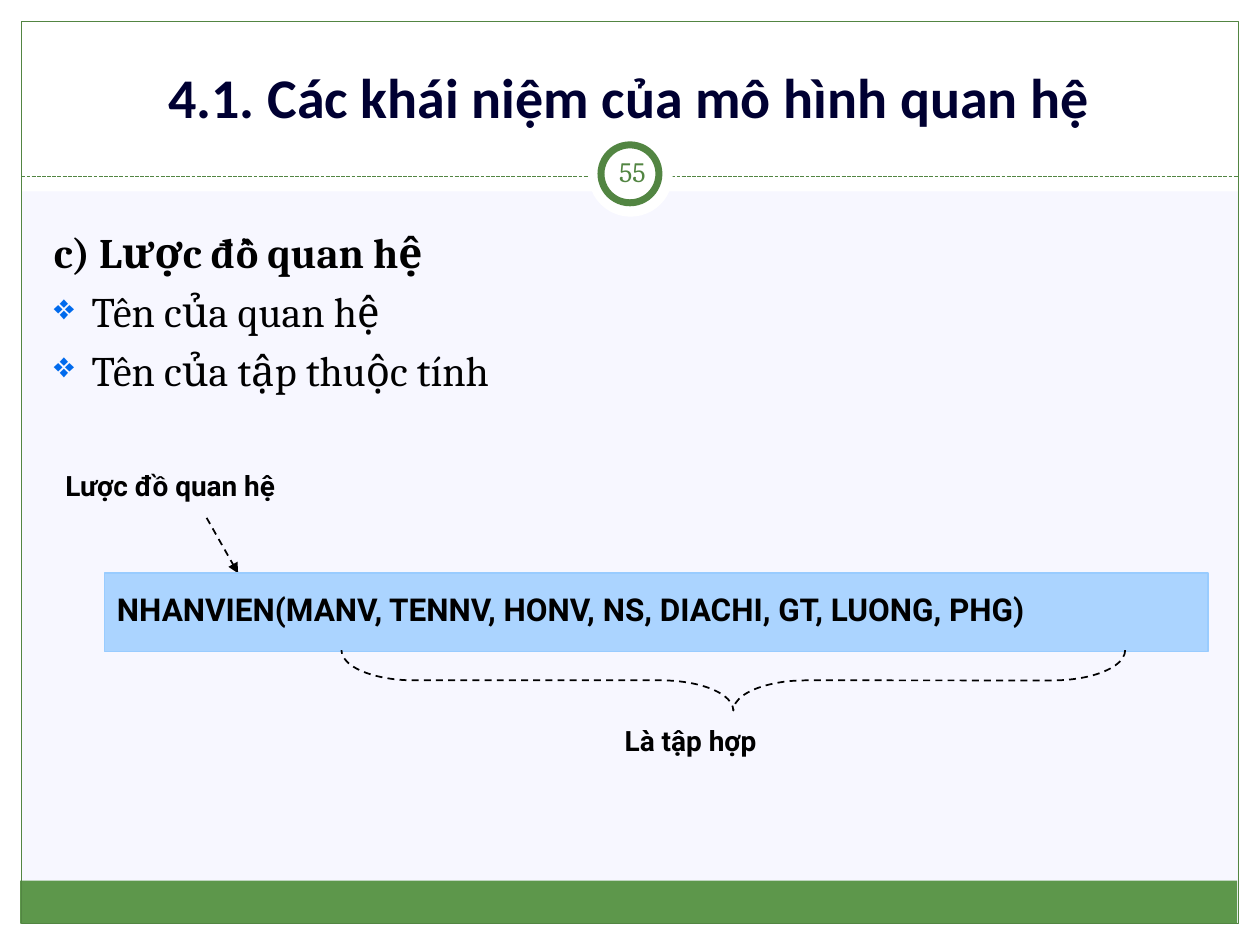
from lxml import etree
from pptx import Presentation
from pptx.dml.color import RGBColor
from pptx.enum.dml import MSO_LINE
from pptx.enum.shapes import MSO_CONNECTOR, MSO_SHAPE as SHAPE
from pptx.enum.text import MSO_ANCHOR as ANCHOR, PP_ALIGN as ALIGN
from pptx.oxml.ns import qn
from pptx.util import Inches, Pt

WHITE, BLACK, GREEN, BLUE = "FFFFFF", "000000", "528542", "99CCFF"


def rgb(code):
    return RGBColor.from_string(code)


def add_xml(parent, tag, **attrs):
    return etree.SubElement(parent, qn(tag), attrs)


class SlideBuilder:
    """Holds the slide and its text styles: font, size, colour, bold."""

    TITLE = ("Calibri", 32, "000032", True)
    NUMBER = ("Cambria", 16, GREEN, False)
    HEADING = ("Cambria", 24, BLACK, True)
    BODY = ("Cambria", 24, BLACK, False)
    LABEL = ("Roboto", 16, BLACK, True)
    SCHEMA = ("Roboto", 18, BLACK, True)

    def __init__(self, slide, background):
        self.s = slide
        fill = slide.background.fill
        fill.solid()
        fill.fore_color.rgb = rgb(background)

    def outline(self, line, color, width, dash=None):
        line.color.rgb = rgb(color)
        line.width = Pt(width)
        if dash:
            line.dash_style = dash

    def shape(self, kind, x, y, w, h, fill=None, line=None, width=1, dash=None, opacity=None):
        sp = self.s.shapes.add_shape(kind, Inches(x), Inches(y), Inches(w), Inches(h))
        sp.shadow.inherit = False
        if fill:
            sp.fill.solid()
            sp.fill.fore_color.rgb = rgb(fill)
            if opacity:
                color = sp.fill._xPr.find(qn("a:solidFill"))[0]
                add_xml(color, "a:alpha", val=str(opacity * 1000))
        else:
            sp.fill.background()
        if line:
            self.outline(sp.line, line, width, dash)
        else:
            sp.line.fill.background()
        return sp

    def line(self, x1, y1, x2, y2, color, width, dash, arrow=False):
        cn = self.s.shapes.add_connector(
            MSO_CONNECTOR.STRAIGHT, Inches(x1), Inches(y1), Inches(x2), Inches(y2))
        self.outline(cn.line, color, width, dash)
        if arrow:
            add_xml(cn.line._get_or_add_ln(), "a:tailEnd", type="triangle")
        add_xml(cn._element.spPr, "a:effectLst")

    def text(self, x, y, w, h, text, style, align=ALIGN.LEFT, anchor=ANCHOR.TOP, inset=None):
        tf = self.s.shapes.add_textbox(Inches(x), Inches(y), Inches(w), Inches(h)).text_frame
        tf.word_wrap = True
        tf.vertical_anchor = anchor
        if inset is not None:
            tf.margin_left = tf.margin_right = Inches(inset)
            tf.margin_top = tf.margin_bottom = Inches(inset)
        self.paragraph(tf.paragraphs[0], text, style, align)
        return tf

    def paragraph(self, p, text, style, align=ALIGN.LEFT):
        p.text = text
        p.alignment = align
        font = p.runs[0].font
        font.name, size, color, font.bold = style
        font.size = Pt(size)
        font.color.rgb = rgb(color)

    def bullet(self, tf, text):
        p = tf.add_paragraph()
        p.space_before = Pt(4.8)
        pPr = p._p.get_or_add_pPr()
        pPr.set("marL", str(Inches(0.3)))
        pPr.set("indent", str(-Inches(0.3)))
        add_xml(add_xml(pPr, "a:buClr"), "a:srgbClr", val="006AED")
        add_xml(pPr, "a:buSzPct", val="85000")
        add_xml(pPr, "a:buChar", char="❖")
        self.paragraph(p, text, self.BODY)


def main():
    prs = Presentation()
    prs.slide_width, prs.slide_height = Inches(10), Inches(7.5)
    b = SlideBuilder(prs.slides.add_slide(prs.slide_layouts[6]), "F7F7FF")

    # Frame
    margins = [(0, 7.33, 10, 0.17), (0, 0, 10, 1.52), (0, 0, 0.17, 7.5), (9.83, 0, 0.17, 7.5)]
    for box in margins:
        b.shape(SHAPE.RECTANGLE, *box, fill=WHITE)
    b.shape(SHAPE.RECTANGLE, 0.16, 6.99, 9.66, 0.34, fill="5D974B")
    b.shape(SHAPE.RECTANGLE, 0.17, 0.17, 9.66, 7.16, line=GREEN, width=0.75)
    b.line(0.17, 1.4, 9.83, 1.4, GREEN, 0.75, MSO_LINE.SQUARE_DOT)
    b.shape(SHAPE.OVAL, 4.67, 1.05, 0.67, 0.67, fill=WHITE)
    b.shape(SHAPE.OVAL, 4.77, 1.15, 0.46, 0.46, fill=WHITE, line=GREEN, width=4)

    # Title, slide number and body
    b.text(0.33, 0.25, 9.33, 0.83, "4.1. Các khái niệm của mô hình quan hệ",
           b.TITLE, ALIGN.CENTER, ANCHOR.BOTTOM)
    b.text(4.77, 1.12, 0.5, 0.48, "55", b.NUMBER, ALIGN.CENTER, ANCHOR.MIDDLE, inset=0.05)
    body = b.text(0.33, 1.75, 9, 4.83, "c) Lược đồ quan hệ", b.HEADING)
    for item in ("Tên của quan hệ", "Tên của tập thuộc tính"):
        b.bullet(body, item)

    # Relation schema
    b.text(0.42, 3.67, 3.03, 0.39, "Lược đồ quan hệ", b.LABEL)
    b.line(1.64, 4.11, 1.89, 4.55, BLACK, 1, MSO_LINE.DASH, arrow=True)
    b.shape(SHAPE.RECTANGLE, 0.83, 4.55, 8.76, 0.62, fill=BLUE, line=BLUE, opacity=80)
    b.text(0.83, 4.63, 8.68, 0.42,
           "NHANVIEN(MANV, TENNV, HONV, NS, DIACHI, GT, LUONG, PHG)", b.SCHEMA)
    brace = b.shape(SHAPE.RIGHT_BRACE, 5.58, 2.29, 0.48, 6.22, line=BLACK, dash=MSO_LINE.DASH)
    brace.rotation = 90
    brace.adjustments[0] = 1.2
    brace.adjustments[1] = 0.5
    b.text(4.86, 5.69, 1.99, 0.39, "Là tập hợp", b.LABEL)

    prs.save("out.pptx")


if __name__ == "__main__":
    main()
